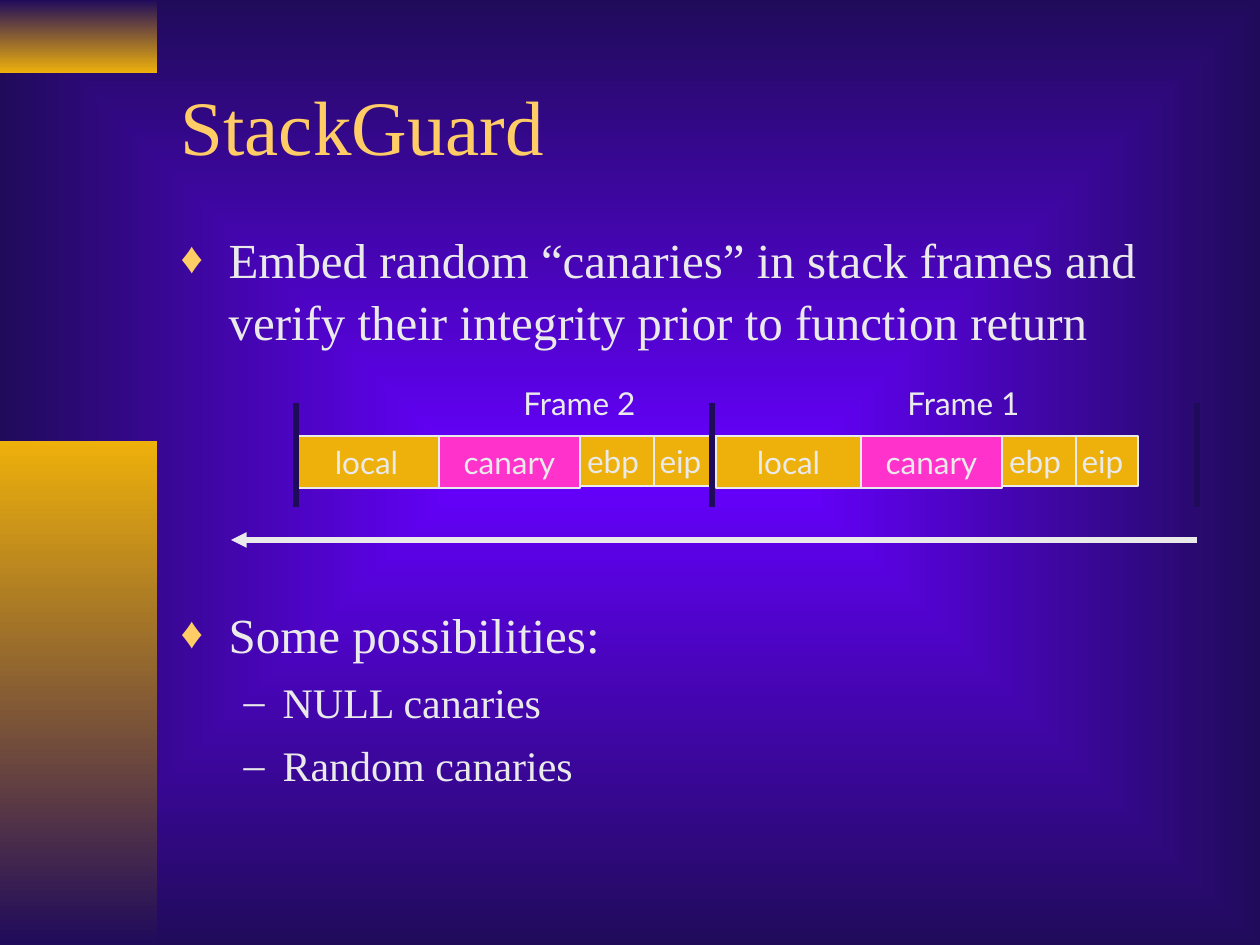
"""Build the StackGuard slide showing canaries in two stack frames."""
from lxml.etree import SubElement
from pptx import Presentation
from pptx.dml.color import RGBColor
from pptx.enum.shapes import MSO_CONNECTOR, MSO_SHAPE
from pptx.enum.text import MSO_ANCHOR, MSO_AUTO_SIZE, PP_ALIGN
from pptx.oxml.ns import qn
from pptx.util import Pt

PX = 914400 / 126
NAVY, GOLD, PALE, PINK, AMBER, VIOLET = (
    "200B5B", "EEB00B", "EAEAEA", "FF33CC", "FFCC66", "6600FF")


def px(*lengths):
    return [round(length * PX) for length in lengths]


def add_text(paragraph, text, size, font_name, color):
    run = paragraph.add_run()
    run.text = text
    run.font.size = Pt(size)
    run.font.name = font_name
    run.font.color.rgb = RGBColor.from_string(color)


presentation = Presentation()
presentation.slide_width, presentation.slide_height = px(1260, 945)
slide = presentation.slides.add_slide(presentation.slide_layouts[1])
shapes = slide.shapes

background = slide.background.fill
background.gradient()
for stop, color in zip(background.gradient_stops, (VIOLET, NAVY)):
    stop.color.rgb = RGBColor.from_string(color)
gradient = slide.element.find(".//" + qn("a:gradFill"))
gradient.remove(gradient.find(qn("a:lin")))
path_element = SubElement(gradient, qn("a:path"), path="rect")
SubElement(path_element, qn("a:fillToRect"), l="50000", t="50000", r="50000", b="50000")

for top, height, colors in ((0, 73, (NAVY, GOLD)), (441, 504, (GOLD, NAVY))):
    bar = shapes.add_shape(MSO_SHAPE.RECTANGLE, *px(0, top, 157, height))
    bar.shadow.inherit = False
    bar.line.fill.background()
    bar.fill.gradient()
    bar.fill.gradient_angle = 270
    for stop, color in zip(bar.fill.gradient_stops, colors):
        stop.color.rgb = RGBColor.from_string(color)

title = shapes.title
title.left, title.top, title.width, title.height = px(168, 42, 1071, 166)
title.text_frame.vertical_anchor = MSO_ANCHOR.MIDDLE
title.text_frame.auto_size = MSO_AUTO_SIZE.NONE
title.text_frame.paragraphs[0].alignment = PP_ALIGN.LEFT
add_text(title.text_frame.paragraphs[0], "StackGuard", 44, "Times New Roman", AMBER)

body = slide.placeholders[1]
body.left, body.top, body.width, body.height = px(168, 220, 1071, 620)
body.text_frame.auto_size = MSO_AUTO_SIZE.NONE
bullet_styles = (
    (28, 48, -48, "♦", AMBER, "90000"),
    (24, 102, -39, "–", PALE, "100000"),
)
points = (
    ("Embed random “canaries” in stack frames and verify their integrity "
     "prior to function return", 0, 0),
    ("Some possibilities:", 0, 144),
    ("NULL canaries", 1, 6),
    ("Random canaries", 1, 6),
)
for index, (text, level, space) in enumerate(points):
    size, margin, indent, bullet, color, bullet_size = bullet_styles[level]
    paragraph = body.text_frame.add_paragraph() if index else body.text_frame.paragraphs[0]
    paragraph.level = level
    paragraph.space_before = Pt(space)
    paragraph.line_spacing = 1.05
    properties = paragraph._p.get_or_add_pPr()
    for name, length in zip(("marL", "indent"), px(margin, indent)):
        properties.set(name, str(length))
    bullet_color = SubElement(properties, qn("a:buClr"))
    SubElement(bullet_color, qn("a:srgbClr"), val=color)
    SubElement(properties, qn("a:buSzPct"), val=bullet_size)
    SubElement(properties, qn("a:buFont"), typeface="Times New Roman")
    SubElement(properties, qn("a:buChar"), char=bullet)
    add_text(paragraph, text, size, "Times New Roman", PALE)

cells = (
    ("eip", 1067, 71, 50, GOLD),
    ("ebp", 994, 82, 50, GOLD),
    ("local", 716, 145, 52, GOLD),
    ("canary", 861, 141, 52, PINK),
)
for frame_offset in (0, -422):
    for text, left, width, height, color in cells:
        cell = shapes.add_shape(
            MSO_SHAPE.RECTANGLE, *px(left + frame_offset, 436, width, height))
        cell.shadow.inherit = False
        cell.fill.solid()
        cell.fill.fore_color.rgb = RGBColor.from_string(color)
        cell.line.color.rgb = RGBColor.from_string(PALE)
        cell.line.width = Pt(0.75)
        cell.text_frame.word_wrap = False
        cell.text_frame.vertical_anchor = MSO_ANCHOR.MIDDLE
        cell.text_frame.paragraphs[0].alignment = PP_ALIGN.CENTER
        add_text(cell.text_frame.paragraphs[0], text, 18, "Lato", PALE)

for text, left in (("Frame 1", 891), ("Frame 2", 507)):
    label = shapes.add_textbox(*px(left, 378, 145, 50))
    label.text_frame.word_wrap = False
    label.text_frame.paragraphs[0].alignment = PP_ALIGN.CENTER
    add_text(label.text_frame.paragraphs[0], text, 18, "Lato", PALE)

dividers = [(x, 403, x, 507, NAVY, False) for x in (296, 712, 1197)]
for *ends, color, has_arrow in dividers + [(1197, 540, 231, 540, PALE, True)]:
    line = shapes.add_connector(MSO_CONNECTOR.STRAIGHT, *px(*ends))
    line.line.color.rgb = RGBColor.from_string(color)
    line.line.width = Pt(3)
    if has_arrow:
        SubElement(line.line._get_or_add_ln(), qn("a:tailEnd"), type="triangle")
    SubElement(line._element.spPr, qn("a:effectLst"))

presentation.save("out.pptx")
